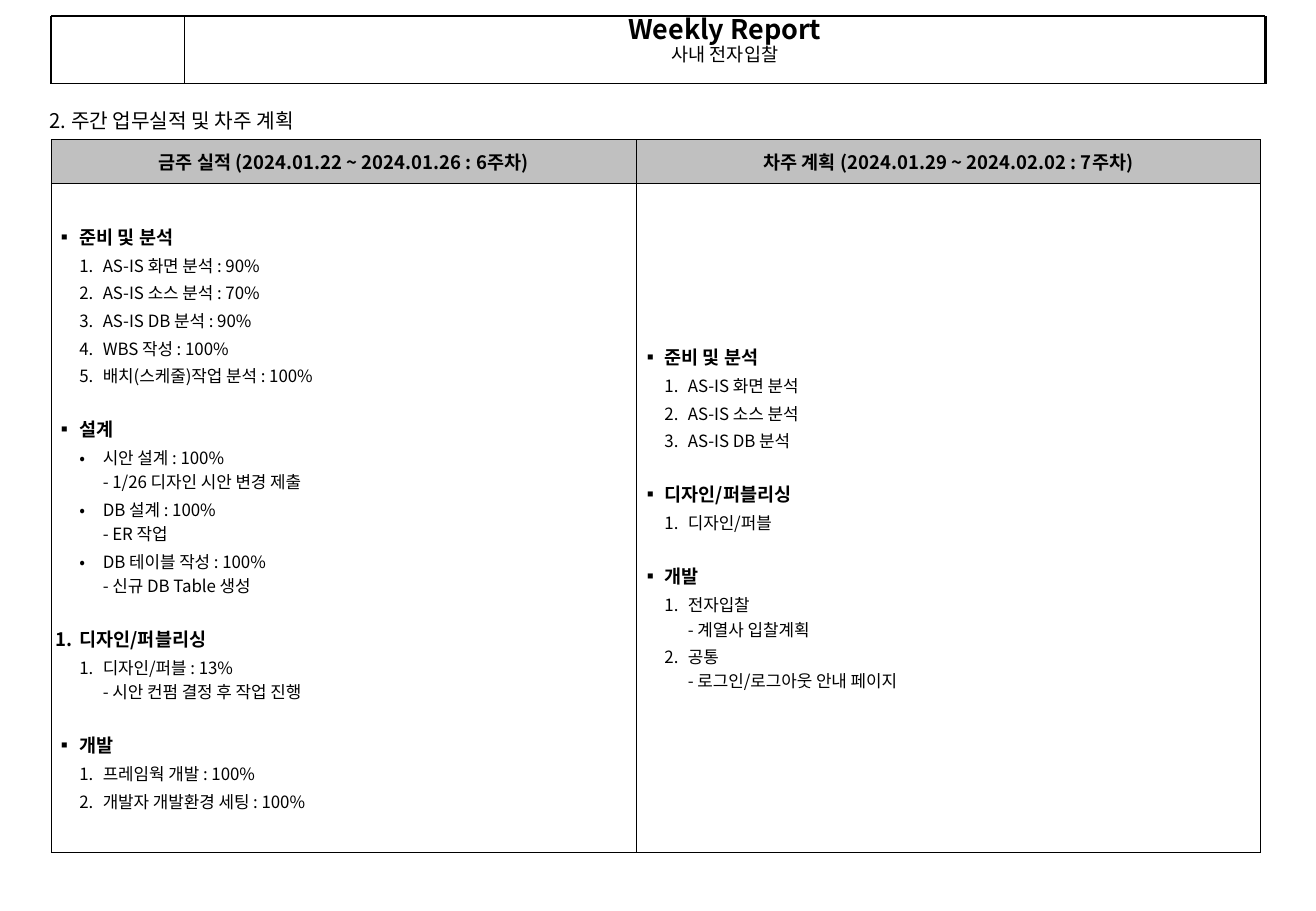
import pptx
import pptx.dml.color
import pptx.enum.shapes
import pptx.enum.text
import pptx.oxml.ns
import pptx.util
from lxml import etree
from pptx.util import Cm

FONT = "Noto Sans CJK KR"
BLACK, GRAY = "000000", "C0C0C0"
ALIGN = pptx.enum.text.PP_ALIGN
ANCHOR = pptx.enum.text.MSO_ANCHOR
INDENT = Cm(0.49)

# Report entries: (level, marker, text); marker "1." means automatic numbering
THIS_WEEK = [
    (0, "▪", "준비 및 분석"),
    (1, "1.", "AS-IS 화면 분석 : 90%"),
    (1, "1.", "AS-IS 소스 분석 : 70%"),
    (1, "1.", "AS-IS DB 분석 : 90%"),
    (1, "1.", "WBS 작성 : 100%"),
    (1, "1.", "배치(스케줄)작업 분석 : 100%"),
    (0, "▪", "설계"),
    (1, "•", "시안 설계 : 100%\n- 1/26 디자인 시안 변경 제출"),
    (1, "•", "DB 설계 : 100%\n- ER 작업"),
    (1, "•", "DB 테이블 작성 : 100%\n- 신규 DB Table 생성"),
    (0, "1.", "디자인/퍼블리싱"),
    (1, "1.", "디자인/퍼블 : 13%\n- 시안 컨펌 결정 후 작업 진행"),
    (0, "▪", "개발"),
    (1, "1.", "프레임웍 개발 : 100%"),
    (1, "1.", "개발자 개발환경 세팅 : 100%"),
]
NEXT_WEEK = [
    (0, "▪", "준비 및 분석"),
    (1, "1.", "AS-IS 화면 분석"),
    (1, "1.", "AS-IS 소스 분석"),
    (1, "1.", "AS-IS DB 분석"),
    (0, "▪", "디자인/퍼블리싱"),
    (1, "1.", "디자인/퍼블"),
    (0, "▪", "개발"),
    (1, "1.", "전자입찰\n- 계열사 입찰계획"),
    (1, "1.", "공통\n- 로그인/로그아웃 안내 페이지"),
]
HEADERS = ["금주 실적 (2024.01.22 ~ 2024.01.26 : 6주차)",
           "차주 계획 (2024.01.29 ~ 2024.02.02 : 7주차)"]


def rgb(value):
    return pptx.dml.color.RGBColor.from_string(value)


def add_xml(parent, tag, **attrs):
    return etree.SubElement(parent, pptx.oxml.ns.qn(tag), attrs)


def write(p, text, size, bold=False, align=ALIGN.LEFT, before=0, after=0):
    p.text = text
    p.alignment = align
    p.space_before, p.space_after = pptx.util.Pt(before), pptx.util.Pt(after)
    p.font.name, p.font.size, p.font.bold = FONT, pptx.util.Pt(size), bold
    p.font.color.rgb = rgb(BLACK)
    # East Asian typeface for Hangul
    latin = p._p.pPr.find(".//" + pptx.oxml.ns.qn("a:latin"))
    ea = etree.Element(pptx.oxml.ns.qn("a:ea"), typeface=FONT)
    latin.addnext(ea)


def set_margins(box, x, y):
    box.margin_left = box.margin_right = Cm(x)
    box.margin_top = box.margin_bottom = Cm(y)


def add_line(s, x1, y1, x2, y2, width):
    line = s.shapes.add_connector(pptx.enum.shapes.MSO_CONNECTOR.STRAIGHT,
                                  Cm(x1), Cm(y1), Cm(x2), Cm(y2))
    line.line.color.rgb = rgb(BLACK)
    line.line.width = pptx.util.Pt(width)
    add_xml(line._element.spPr, "a:effectLst")


def add_marker(p, level, marker):
    p.level = level
    pPr = p._p.get_or_add_pPr()
    pPr.set("marL", str(INDENT * (level + 1)))
    pPr.set("indent", str(-INDENT))
    add_xml(add_xml(pPr, "a:buClr"), "a:srgbClr", val=BLACK)
    add_xml(pPr, "a:buFont", typeface=FONT)
    if marker == "1.":
        add_xml(pPr, "a:buAutoNum", type="arabicPeriod")
    else:
        add_xml(pPr, "a:buChar", char=marker)


def fill_list(tf, entries):
    for i, (level, marker, text) in enumerate(entries):
        p = tf.add_paragraph() if i else tf.paragraphs[0]
        add_marker(p, level, marker)
        before = 0 if i == 0 else 1 if level else 15.2
        write(p, text, 10 if level else 11, bold=level == 0,
              before=before, after=1)


def format_cell(cell, fill, widths):
    cell.vertical_anchor = ANCHOR.MIDDLE
    tcPr = cell._tc.get_or_add_tcPr()
    for side, width in widths.items():
        ln = add_xml(tcPr, "a:ln" + side, w=str(pptx.util.Pt(width)))
        add_xml(add_xml(ln, "a:solidFill"), "a:srgbClr", val=BLACK)
    if fill:
        cell.fill.solid()
        cell.fill.fore_color.rgb = rgb(fill)
    else:
        cell.fill.background()


def add_title(s):
    title = s.shapes.title
    title.left, title.top = Cm(3.86), Cm(0.33)
    title.width, title.height = Cm(22.61), Cm(1.42)
    tf = title.text_frame
    tf.word_wrap = True
    tf.auto_size = pptx.enum.text.MSO_AUTO_SIZE.NONE
    tf.vertical_anchor = ANCHOR.TOP
    set_margins(tf, 0.25, 0)
    write(tf.paragraphs[0], "Weekly Report", 16, True, ALIGN.CENTER)
    write(tf.add_paragraph(), "사내 전자입찰", 11, False, ALIGN.CENTER, 0.5)
    for p in tf.paragraphs:
        p.line_spacing = 0.9


def add_title_frame(s):
    left, divider, right, top, bottom = 1.07, 3.86, 26.47, 0.33, 1.75
    for x, width in ((divider, 0.25), (left, 1.5), (right, 1.5)):
        add_line(s, x, top, x, bottom, width)
    for y, width in ((top, 1.5), (bottom, 0.25)):
        add_line(s, left, y, right, y, width)


def add_section_heading(s, text):
    sp = s.shapes.add_textbox(Cm(0.79), Cm(2.13), Cm(7.8), Cm(0.76))
    tf = sp.text_frame
    tf.word_wrap = True
    set_margins(tf, 0.25, 0.13)
    write(tf.paragraphs[0], text, 12)


def add_report_table(s):
    table = s.shapes.add_table(2, 2, Cm(1.07), Cm(2.92),
                               Cm(25.3), Cm(14.91)).table
    table.columns[0].width, table.columns[1].width = Cm(12.24), Cm(13.06)
    table.rows[0].height, table.rows[1].height = Cm(0.91), Cm(14)
    for col, entries in enumerate((THIS_WEEK, NEXT_WEEK)):
        right = 0.75 if col else 0.45
        header, body = table.cell(0, col), table.cell(1, col)
        format_cell(header, GRAY, {"L": 0.45, "R": right, "T": 0.75, "B": 0.45})
        format_cell(body, None, {"L": 0.45, "R": right, "T": 0.45, "B": 0.45})
        set_margins(header, 0.05, 0.13)
        set_margins(body, 0.1, 0.13)
        write(header.text_frame.paragraphs[0], HEADERS[col], 11, True,
              ALIGN.CENTER, after=2.8)
        fill_list(body.text_frame, entries)


def main():
    prs = pptx.Presentation()
    prs.slide_width, prs.slide_height = Cm(27.53), Cm(19.05)
    s = prs.slides.add_slide(prs.slide_layouts[5])
    # Title band
    add_title(s)
    add_title_frame(s)
    # Weekly results and plan
    add_section_heading(s, "2. 주간 업무실적 및 차주 계획")
    add_report_table(s)
    prs.save("out.pptx")


if __name__ == "__main__":
    main()
